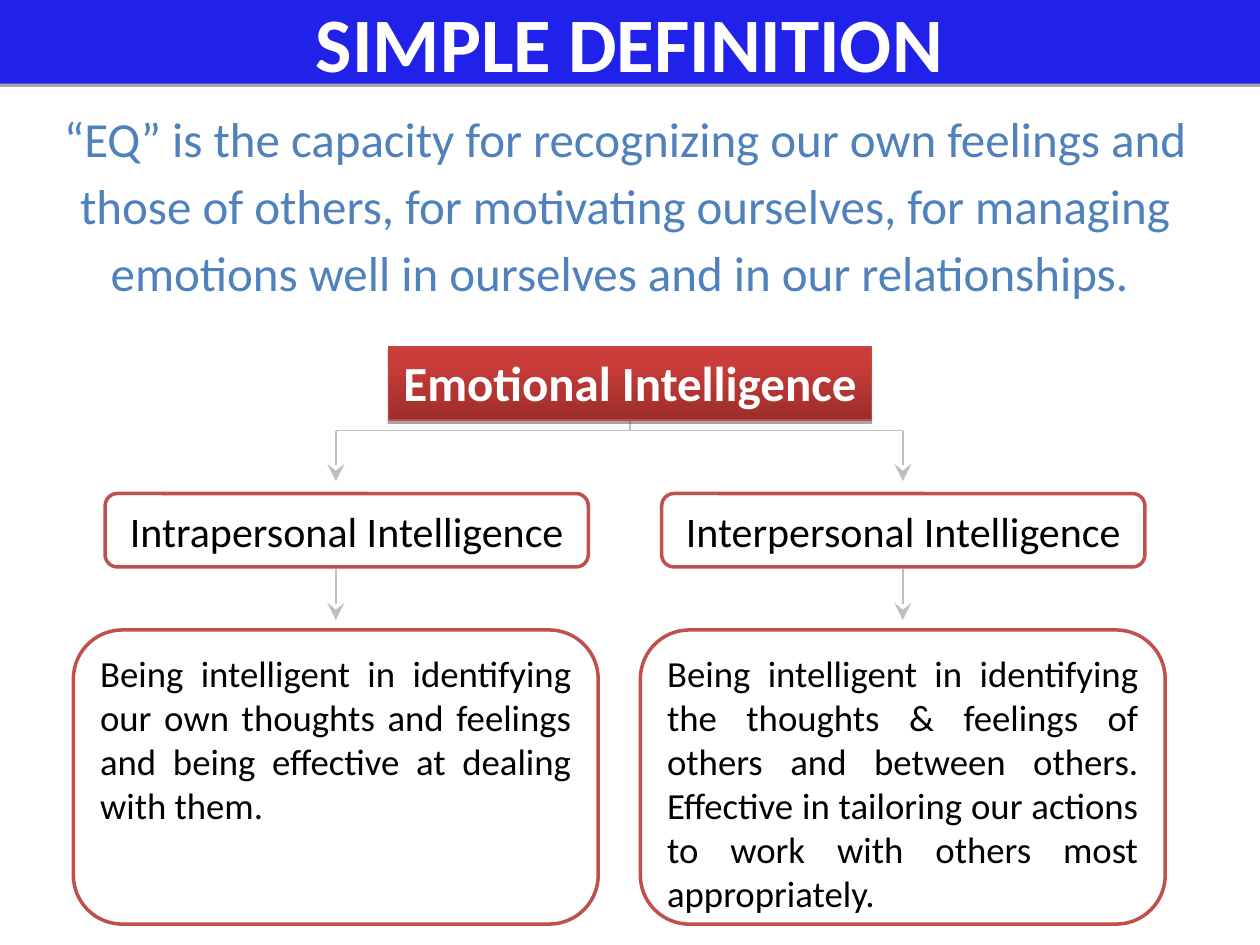
from dataclasses import dataclass

from lxml import etree
from pptx import Presentation
from pptx import util as u
from pptx.dml import color
from pptx.enum import shapes, text
from pptx.oxml import ns

COLORS = {
    "banner": "2122E9",
    "quote": "4F81BD",
    "connector": "BFBFBF",
    "outline": "C0504D",
    "root_line": "BE4B48",
    "root_dark": "9B2D2A",
    "root_light": "CB3D3A",
    "shadow": "000000",
    "white": "FFFFFF",
    "black": "000000",
}
RECTANGLE = shapes.MSO_SHAPE.RECTANGLE
ROUNDED = shapes.MSO_SHAPE.ROUNDED_RECTANGLE
TOP = text.MSO_ANCHOR.TOP
MIDDLE = text.MSO_ANCHOR.MIDDLE
CENTER = text.PP_ALIGN.CENTER
JUSTIFY = text.PP_ALIGN.JUSTIFY

COLUMN_PITCH = 11.43
FIRST_ARROW_X = 6.77
BRANCH_Y = 8.68
ARROW_LENGTH = 1.02


@dataclass(frozen=True)
class TextStyle:
    size: float
    color: str
    bold: bool = False
    alignment: text.PP_ALIGN = CENTER
    anchor: text.MSO_ANCHOR = MIDDLE
    line_spacing: float = 1.0


@dataclass(frozen=True)
class Box:
    wording: str
    left: float
    top: float
    width: float
    height: float
    style: TextStyle
    kind: shapes.MSO_SHAPE = ROUNDED
    fill: str = "white"
    line: str | None = "outline"
    line_width: float = 2


@dataclass(frozen=True)
class Branch:
    label: str
    label_left: float
    description: str


TITLE = TextStyle(44, "white", bold=True)
QUOTE = TextStyle(28, "quote", anchor=TOP, line_spacing=1.14)
ROOT = TextStyle(28, "white", bold=True, anchor=TOP)
LABEL = TextStyle(24, "black")
DESCRIPTION = TextStyle(21, "black", alignment=JUSTIFY, anchor=TOP)

BRANCHES = [
    Branch(
        "Intrapersonal Intelligence",
        2.12,
        "Being intelligent in identifying our own thoughts and feelings "
        "and being effective at dealing with them.",
    ),
    Branch(
        "Interpersonal Intelligence",
        13.34,
        "Being intelligent in identifying the thoughts & feelings of others "
        "and between others. Effective in tailoring our actions to work with "
        "others most appropriately.",
    ),
]


def rgb(name: str) -> color.RGBColor:
    return color.RGBColor.from_string(COLORS[name])


def set_attributes(target, values: dict) -> None:
    for name, value in values.items():
        setattr(target, name, value)


def write_text(shape, wording: str, style: TextStyle) -> None:
    frame = shape.text_frame
    set_attributes(frame, {"word_wrap": True, "vertical_anchor": style.anchor})
    paragraph = frame.paragraphs[0]
    set_attributes(
        paragraph,
        {"alignment": style.alignment, "line_spacing": style.line_spacing},
    )
    run = paragraph.add_run()
    run.text = wording
    set_attributes(
        run.font,
        {"name": "Calibri", "size": u.Pt(style.size), "bold": style.bold},
    )
    run.font.color.rgb = rgb(style.color)


def add_box(slide, box: Box):
    shape = slide.shapes.add_shape(
        box.kind, u.Cm(box.left), u.Cm(box.top), u.Cm(box.width), u.Cm(box.height)
    )
    shape.shadow.inherit = False
    shape.fill.solid()
    shape.fill.fore_color.rgb = rgb(box.fill)
    if box.line:
        shape.line.color.rgb = rgb(box.line)
        shape.line.width = u.Pt(box.line_width)
    else:
        shape.line.fill.background()
    write_text(shape, box.wording, box.style)
    return shape


def add_drop_shadow(shape) -> None:
    effects = shape.element.spPr.find(ns.qn("a:effectLst"))
    shadow = etree.SubElement(
        effects,
        ns.qn("a:outerShdw"),
        blurRad="0",
        dist=str(u.Pt(1.8)),
        dir="5400000",
        rotWithShape="0",
    )
    shade = etree.SubElement(shadow, ns.qn("a:srgbClr"), val=COLORS["shadow"])
    etree.SubElement(shade, ns.qn("a:alpha"), val="35000")


def add_root_gradient(shape) -> None:
    shape.fill.gradient()
    shape.fill.gradient_angle = 90
    stops = [(0, "root_dark"), (0.8, "root_light")]
    for stop, (position, name) in zip(shape.fill.gradient_stops, stops):
        stop.position = position
        stop.color.rgb = rgb(name)


def add_line(
    slide, x1: float, y1: float, x2: float, y2: float, arrow: bool = False
) -> None:
    connector = slide.shapes.add_connector(
        shapes.MSO_CONNECTOR.STRAIGHT, u.Cm(x1), u.Cm(y1), u.Cm(x2), u.Cm(y2)
    )
    connector.line.color.rgb = rgb("connector")
    connector.line.width = u.Pt(1)
    properties = connector.element.spPr
    if arrow:
        outline = properties.find(ns.qn("a:ln"))
        etree.SubElement(
            outline, ns.qn("a:tailEnd"), type="stealth", w="lg", len="lg"
        )
    etree.SubElement(properties, ns.qn("a:effectLst"))


def add_branch(slide, index: int, branch: Branch) -> None:
    offset = index * COLUMN_PITCH
    arrow_x = FIRST_ARROW_X + offset
    for top in (BRANCH_Y, 11.48):
        add_line(slide, arrow_x, top, arrow_x, top + ARROW_LENGTH, arrow=True)
    add_box(slide, Box(branch.label, branch.label_left, 9.95, 9.74, 1.48, LABEL))
    add_box(
        slide,
        Box(branch.description, 1.48 + offset, 12.7, 10.58, 5.93, DESCRIPTION),
    )


def main() -> None:
    presentation = Presentation()
    set_attributes(
        presentation, {"slide_width": u.Cm(25.4), "slide_height": u.Cm(19.05)}
    )
    slide = presentation.slides.add_slide(presentation.slide_layouts[6])

    quote = slide.shapes.add_textbox(u.Cm(0.64), u.Cm(1.9), u.Cm(23.92), u.Cm(4.02))
    write_text(
        quote,
        "“EQ” is the capacity for recognizing our own feelings and those of "
        "others, for motivating ourselves, for managing emotions well in "
        "ourselves and in our relationships. ",
        QUOTE,
    )
    banner = add_box(
        slide,
        Box("SIMPLE DEFINITION", 0, 0, 25.4, 1.69, TITLE, RECTANGLE, "banner", None),
    )
    add_drop_shadow(banner)

    add_line(slide, 12.7, 7.67, 12.7, BRANCH_Y)
    root = add_box(
        slide,
        Box("Emotional Intelligence", 7.83, 6.99, 9.74, 1.48, ROOT, RECTANGLE,
            "root_light", "root_line", 0.75),
    )
    add_root_gradient(root)
    add_drop_shadow(root)
    add_line(slide, FIRST_ARROW_X, BRANCH_Y, FIRST_ARROW_X + COLUMN_PITCH, BRANCH_Y)

    for index, branch in enumerate(BRANCHES):
        add_branch(slide, index, branch)

    presentation.save("out.pptx")


if __name__ == "__main__":
    main()
